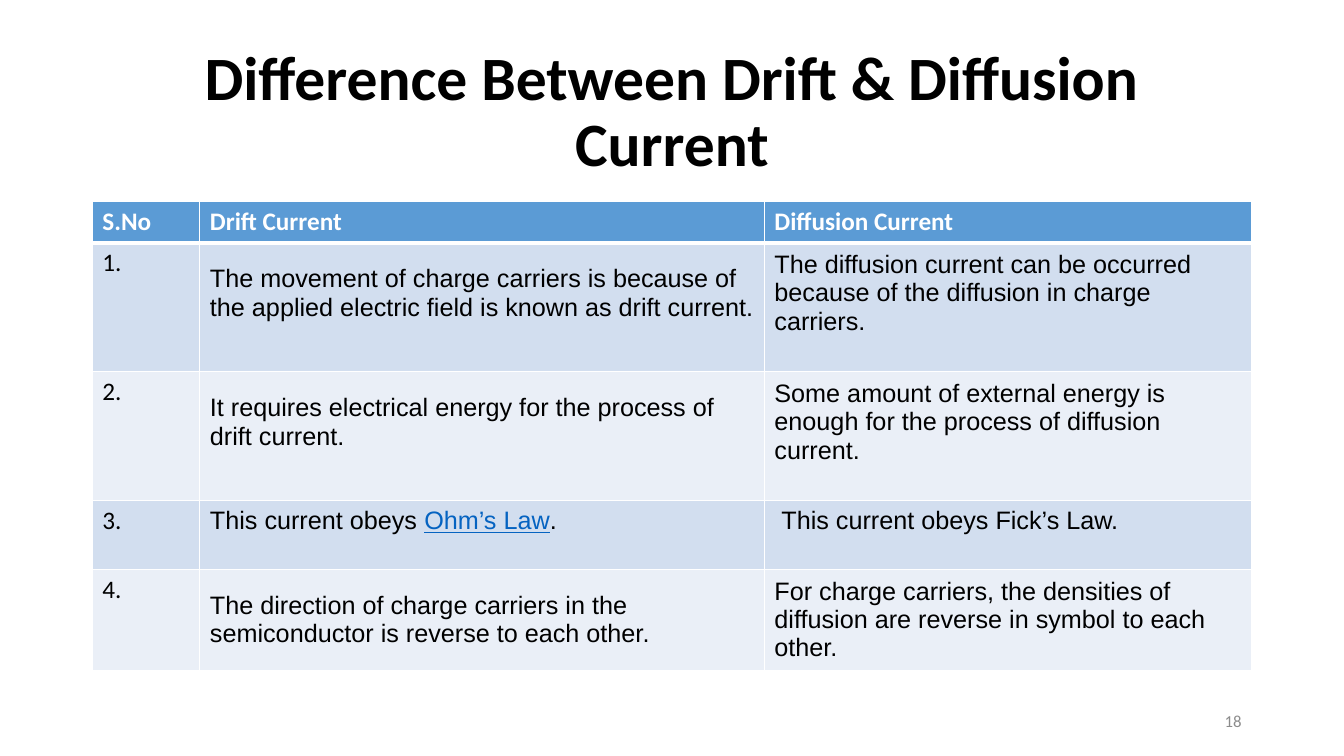
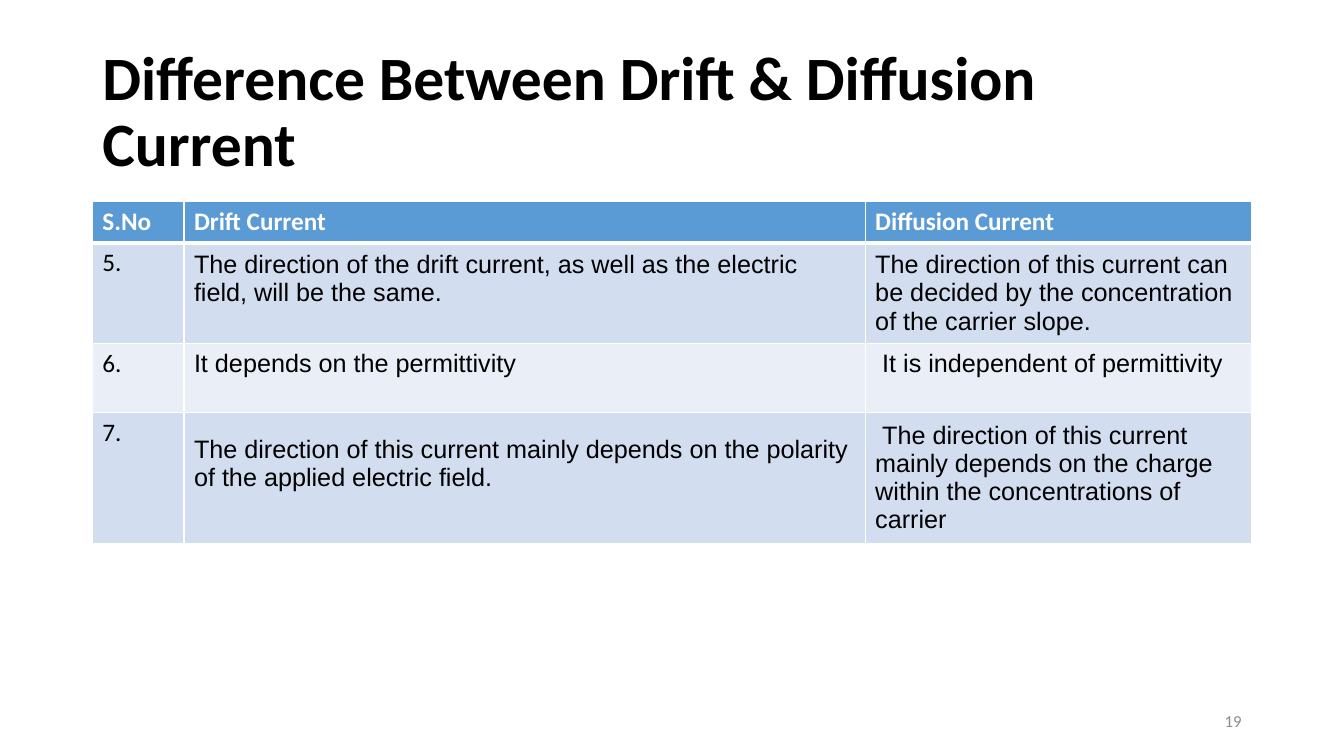
from dataclasses import dataclass

from lxml.etree import SubElement
from pptx import Presentation
from pptx.dml.color import RGBColor
from pptx.enum.text import MSO_ANCHOR, PP_ALIGN
from pptx.oxml.ns import qn
from pptx.util import Inches, Pt


@dataclass(frozen=True)
class Theme:
    heading_font: str = "Calibri"
    body_font: str = "Arial"
    title_size: int = 44
    table_size: int = 18
    number_size: int = 12
    black: str = "000000"
    white: str = "FFFFFF"
    header: str = "5B9BD5"
    bands: tuple = ("D2DEEF", "EAEFF7")
    link: str = "0563C1"
    grey: str = "8C8C8C"
    thin_border: int = 1
    thick_border: int = 3


@dataclass(frozen=True)
class Entry:
    """Body cell: its text, an optional link-styled phrase, and its spacing."""
    text: str
    link: str = ""
    ending: str = ""
    line_below: bool = True
    indented: bool = False


THEME = Theme()

# The slide is a grid of 160 columns by 90 rows of square units.
COLUMNS, ROWS = 160, 90
UNIT = Inches(7.5) / ROWS
TITLE_BOX = (11, 4.8, 138, 17.4)
TABLE_BOX = (11, 24, 138)
NUMBER_BOX = (113, 83.4, 36, 4.8)
HEADER_HEIGHT = 4.9
LINE_HEIGHT = 3.36
CELL_MARGIN = 0.6
FIRST_LINE_INDENT = 0.83

TITLE = "Difference Between Drift & Diffusion Current"
HEADINGS = ("S.No", "Drift Current", "Diffusion Current")

# Each row: height in text lines, drift entry, diffusion entry.
FIRST_ROWS = [
    (4, Entry("The movement of charge carriers is because of the applied electric field "
              "is known as drift current."),
     Entry("The diffusion current can be occurred because of the diffusion in charge carriers.")),
    (4, Entry("It requires electrical energy for the process of drift current."),
     Entry("Some amount of external energy is enough for the process of diffusion current.")),
    (2, Entry("This current obeys ", link="Ohm’s Law", ending="."),
     Entry("This current obeys Fick’s Law.", indented=True)),
    (3, Entry("The direction of charge carriers in the semiconductor is reverse to each other.",
              line_below=False),
     Entry("For charge carriers, the densities of diffusion are reverse in symbol to each other.",
           line_below=False)),
]
SECOND_ROWS = [
    (3, Entry("The direction of the drift current, as well as the electric field, "
              "will be the same."),
     Entry("The direction of this current can be decided by the concentration "
           "of the carrier slope.", line_below=False)),
    (2, Entry("It depends on the permittivity"),
     Entry("It is independent of permittivity", indented=True)),
    (4, Entry("The direction of this current mainly depends on the polarity of the applied "
              "electric field."),
     Entry("The direction of this current mainly depends on the charge within the "
           "concentrations of carrier", line_below=False, indented=True)),
]


def units(count):
    return round(count * UNIT)


def write_text(paragraph, text, *, size=THEME.table_size, font=THEME.heading_font,
               color=THEME.black, bold=False, underline=False, align=PP_ALIGN.LEFT):
    """Append one formatted run to the paragraph."""
    paragraph.alignment = align
    run = paragraph.add_run()
    run.text = text
    run.font.size = Pt(size)
    run.font.name = font
    run.font.bold = bold
    run.font.underline = underline
    run.font.color.rgb = RGBColor.from_string(color)


def add_text_box(slide, box, text, line_spacing=1.0, **text_format):
    frame = slide.shapes.add_textbox(*map(units, box)).text_frame
    frame.word_wrap = True
    frame.vertical_anchor = MSO_ANCHOR.MIDDLE
    paragraph = frame.paragraphs[0]
    paragraph.line_spacing = line_spacing
    write_text(paragraph, text, **text_format)


def style_cell(cell, fill, top=THEME.thin_border, bottom=THEME.thin_border):
    """Give the cell its fill and white borders."""
    properties = cell._tc.get_or_add_tcPr()
    widths = {"lnL": THEME.thin_border, "lnR": THEME.thin_border, "lnT": top, "lnB": bottom}
    for side, width in widths.items():
        line = SubElement(properties, qn(f"a:{side}"), w=str(Pt(width)))
        SubElement(SubElement(line, qn("a:solidFill")), qn("a:srgbClr"), val=THEME.white)
    cell.fill.solid()
    cell.fill.fore_color.rgb = RGBColor.from_string(fill)


def fill_entry(cell, entry):
    cell.vertical_anchor = MSO_ANCHOR.MIDDLE
    if entry.line_below:
        cell.margin_bottom = units(CELL_MARGIN + LINE_HEIGHT)
    paragraph = cell.text_frame.paragraphs[0]
    if entry.indented:
        paragraph._p.get_or_add_pPr().set("indent", str(units(FIRST_LINE_INDENT)))
    write_text(paragraph, entry.text, font=THEME.body_font)
    if entry.link:
        write_text(paragraph, entry.link, font=THEME.body_font, color=THEME.link, underline=True)
        write_text(paragraph, entry.ending, font=THEME.body_font)


def add_comparison_table(slide, box, column_widths, rows, first_number):
    left, top, width = box
    heights = [HEADER_HEIGHT] + [2 * CELL_MARGIN + lines * LINE_HEIGHT for lines, *_ in rows]
    table = slide.shapes.add_table(len(heights), len(HEADINGS),
                                   *map(units, (left, top, width, sum(heights)))).table
    for column, column_width in zip(table.columns, column_widths):
        column.width = units(column_width)
    for row, height in zip(table.rows, heights):
        row.height = units(height)
    for column, heading in enumerate(HEADINGS):
        cell = table.cell(0, column)
        style_cell(cell, THEME.header, bottom=THEME.thick_border)
        write_text(cell.text_frame.paragraphs[0], heading, color=THEME.white, bold=True)
    for index, (_, *entries) in enumerate(rows):
        cells = table.rows[index + 1].cells
        border = THEME.thin_border if index else THEME.thick_border
        for cell in cells:
            style_cell(cell, THEME.bands[index % 2], top=border)
        write_text(cells[0].text_frame.paragraphs[0], f"{first_number + index}.")
        for column, entry in enumerate(entries, start=1):
            fill_entry(cells[column], entry)


def add_comparison_slide(presentation, page, title_align, column_widths, rows, first_number):
    slide = presentation.slides.add_slide(presentation.slide_layouts[6])
    add_text_box(slide, TITLE_BOX, TITLE, line_spacing=0.9, size=THEME.title_size,
                 bold=True, align=title_align)
    add_comparison_table(slide, TABLE_BOX, column_widths, rows, first_number)
    add_text_box(slide, NUMBER_BOX, str(page), size=THEME.number_size, color=THEME.grey,
                 align=PP_ALIGN.RIGHT)


def main():
    presentation = Presentation()
    presentation.slide_width = units(COLUMNS)
    presentation.slide_height = units(ROWS)
    add_comparison_slide(presentation, 18, PP_ALIGN.CENTER, (12.8, 67.2, 58), FIRST_ROWS, 1)
    add_comparison_slide(presentation, 19, PP_ALIGN.LEFT, (10.9, 81.1, 46), SECOND_ROWS,
                         len(FIRST_ROWS) + 1)
    presentation.save("out.pptx")


if __name__ == "__main__":
    main()
